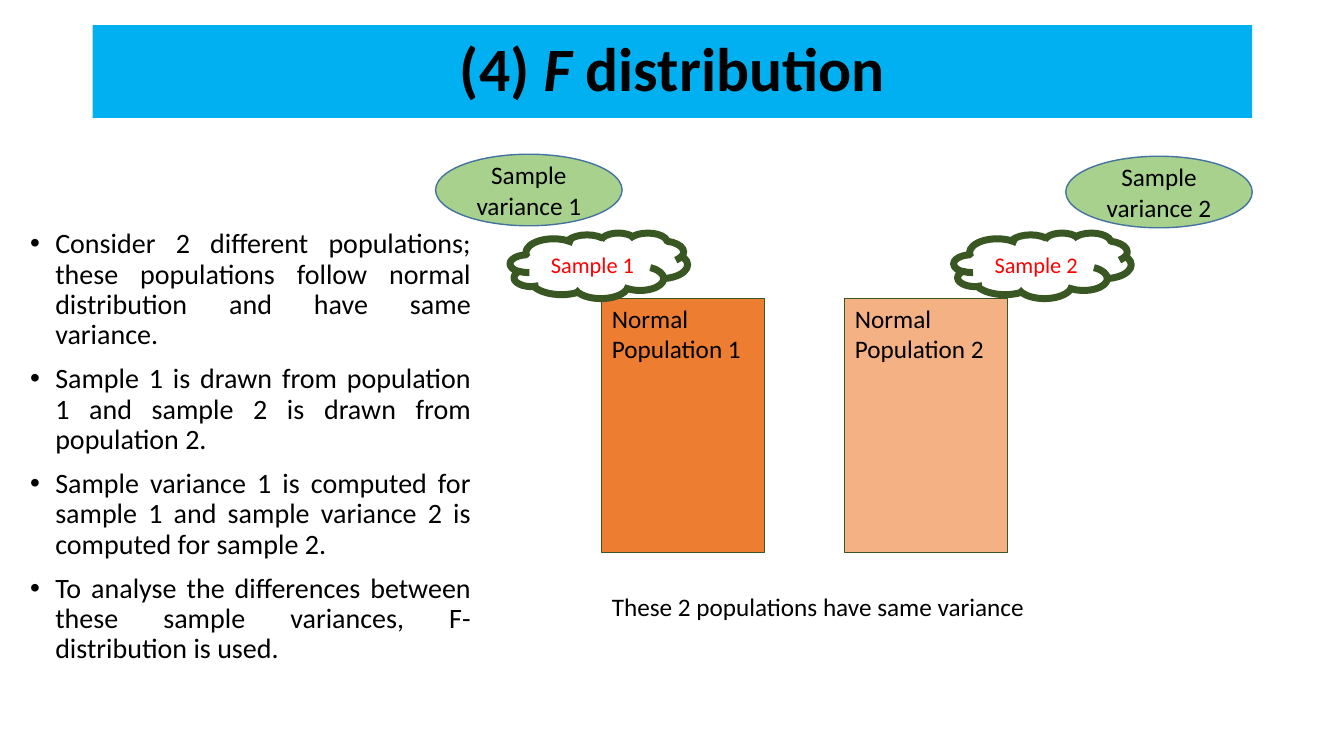
from dataclasses import dataclass

from lxml import etree
from pptx import Presentation
from pptx.dml.color import RGBColor
from pptx.enum.shapes import MSO_SHAPE
from pptx.enum.text import MSO_ANCHOR, PP_ALIGN
from pptx.oxml.ns import qn
from pptx.util import Pt

RECT, CLOUD, OVAL = MSO_SHAPE.RECTANGLE, MSO_SHAPE.CLOUD, MSO_SHAPE.OVAL
TOP, MIDDLE = MSO_ANCHOR.TOP, MSO_ANCHOR.MIDDLE
LEFT, CENTER, JUSTIFY = PP_ALIGN.LEFT, PP_ALIGN.CENTER, PP_ALIGN.JUSTIFY

SCALE = 9144  # EMU per px, 100 px to the inch


@dataclass(frozen=True)
class Theme:
    face: str = "Calibri"
    black: str = "000000"
    white: str = "FFFFFF"
    red: str = "FF0000"
    sky: str = "00B0F0"
    orange: str = "ED7D31"
    peach: str = "F4B183"
    leaf: str = "A9D18E"
    forest: str = "385723"
    steel: str = "43739E"
    title: int = 44
    body: int = 20
    label: int = 18
    small: int = 16


THEME = Theme()

POINTS = [
    "Consider 2 different populations; these populations follow normal "
    "distribution and have same variance.",
    "Sample 1 is drawn from population 1 and sample 2 is drawn from population 2.",
    "Sample variance 1 is computed for sample 1 and sample variance 2 is "
    "computed for sample 2.",
    "To analyse the differences between these sample variances, "
    "F- distribution is used.",
]


def px(*sizes):
    return [size * SCALE for size in sizes]


def style(para, size, color=THEME.black, align=LEFT):
    para.alignment = align
    font = para.font
    font.name, font.size = THEME.face, Pt(size)
    font.color.rgb = RGBColor.from_string(color)


def add_box(slide, kind, place, fill, edge=None, width=0):
    """Add a filled preset shape, with an outline if an edge colour is given."""
    box = slide.shapes.add_shape(kind, *px(*place))
    box.shadow.inherit = False
    box.fill.solid()
    box.fill.fore_color.rgb = RGBColor.from_string(fill)
    if edge:
        box.line.color.rgb = RGBColor.from_string(edge)
        box.line.width = Pt(width)
    else:
        box.line.fill.background()
    return box


def add_label(box, text, size, color=THEME.black, align=CENTER, anchor=MIDDLE):
    frame = box.text_frame
    frame.word_wrap = True
    frame.vertical_anchor = anchor
    para = frame.paragraphs[0]
    para.text = text
    style(para, size, color, align)


def add_title(slide):
    bar = add_box(slide, RECT, (92, 25, 1150, 92), THEME.sky)
    bar.text_frame.vertical_anchor = MIDDLE
    para = bar.text_frame.paragraphs[0]
    para.line_spacing = 0.9
    for text, slant in (("(4) ", False), ("F ", True), ("distribution", False)):
        run = para.add_run()
        run.text = text
        run.font.italic = slant
    style(para, THEME.title, align=CENTER)
    para.font.bold = True


def add_bullets(slide, place, points):
    frame = slide.shapes.add_textbox(*px(*place)).text_frame
    frame.word_wrap = True
    for index, point in enumerate(points):
        para = frame.add_paragraph() if index else frame.paragraphs[0]
        para.text = point
        para.line_spacing = 0.9
        if index:
            para.space_before = Pt(10)
        props = para._p.get_or_add_pPr()
        indent, = px(25)
        props.set("marL", str(indent))
        props.set("indent", str(-indent))
        etree.SubElement(props, qn("a:buFont")).set("typeface", "Arial")
        etree.SubElement(props, qn("a:buChar")).set("char", "•")
        style(para, THEME.body, align=JUSTIFY)


def add_group(slide, number, fill, column, cloud, oval):
    """Add one population with its sample and its sample variance."""
    box = add_box(slide, RECT, (column, 296, 161, 252), fill, THEME.forest, 0.75)
    add_label(box, f"Normal Population {number}", THEME.label, align=LEFT, anchor=TOP)

    box = add_box(slide, CLOUD, (cloud, 231, 176, 65), THEME.white, THEME.forest, 5)
    add_label(box, f"Sample {number}", THEME.small, THEME.red)

    box = add_box(slide, OVAL, (*oval, 185, 71), THEME.leaf, THEME.steel, 1)
    add_label(box, f"Sample variance {number}", THEME.label)


def main():
    deck = Presentation()
    deck.slide_width, deck.slide_height = px(1333, 750)
    slide = deck.slides.add_slide(deck.slide_layouts[6])

    # Title and explanation
    add_title(slide)
    add_bullets(slide, (20, 223, 457, 476), POINTS)

    # Two populations
    add_group(slide, 1, THEME.orange, 597, 506, (432, 153))
    add_group(slide, 2, THEME.peach, 838, 946, (1057, 155))

    # Caption
    note = slide.shapes.add_textbox(*px(597, 582, 436, 40))
    add_label(note, "These 2 populations have same variance", THEME.label,
              align=LEFT, anchor=TOP)

    deck.save("out.pptx")


if __name__ == "__main__":
    main()
